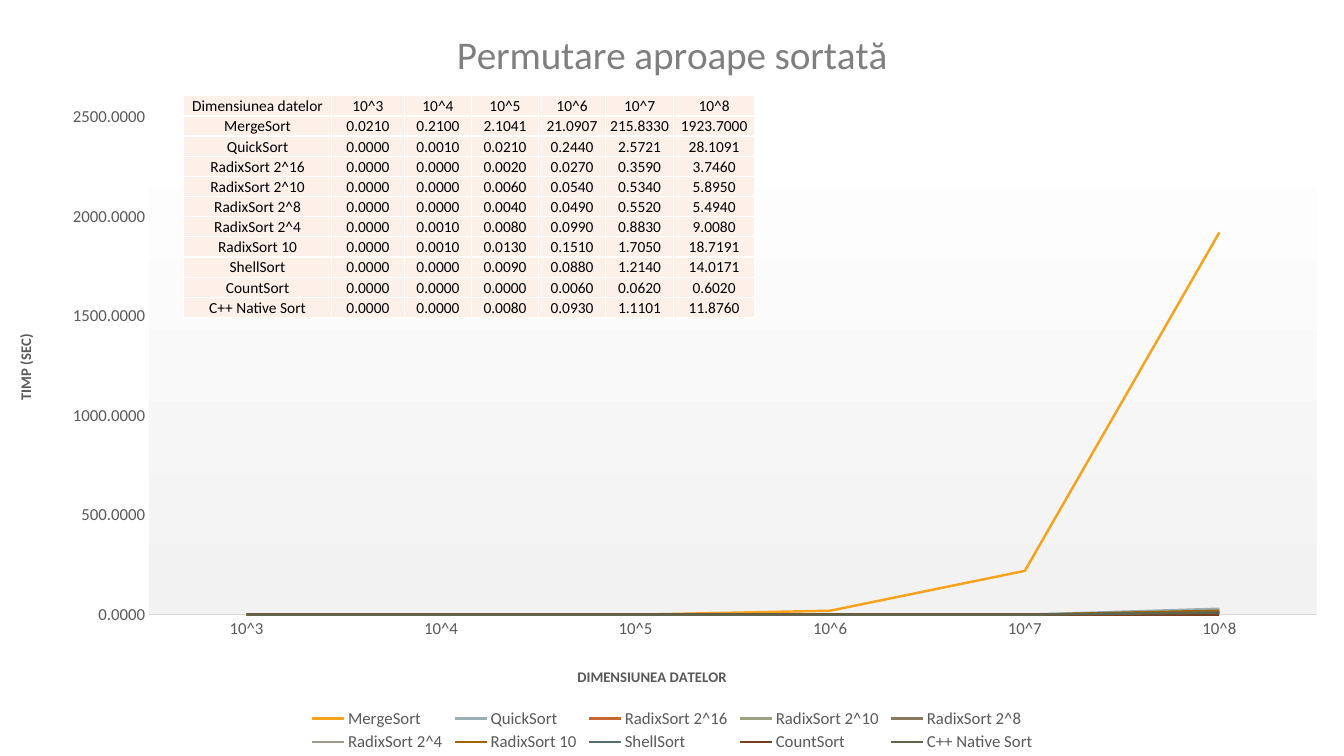
from lxml import etree
from pptx import Presentation
from pptx.chart.data import CategoryChartData
from pptx.dml.color import RGBColor
from pptx.enum.chart import XL_CHART_TYPE, XL_LEGEND_POSITION, XL_TICK_MARK
from pptx.enum.text import MSO_ANCHOR, PP_ALIGN
from pptx.oxml import parse_xml
from pptx.oxml.ns import nsdecls, qn
from pptx.util import Inches, Pt

THEME = {
    "font": "Calibri",
    "background": "F2F2F2", "white": "FFFFFF", "cell": "FDF0E8",
    "black": "000000", "text": "595959", "title": "7F7F7F", "axis": "D9D9D9",
    "title_size": 28, "axis_title_size": 10.5, "label_size": 12,
    "table_size": 11, "chart_size": 10, "series_width": 1.75,
}
WIDTH, HEIGHT = 13.33, 7.5
SIZES = ["10^3", "10^4", "10^5", "10^6", "10^7", "10^8"]
TIMES = [
    ("MergeSort", "F6A21D", [0.021, 0.21, 2.1041, 21.0907, 215.833, 1923.7]),
    ("QuickSort", "9BAFB5", [0, 0.001, 0.021, 0.244, 2.5721, 28.1091]),
    ("RadixSort 2^16", "C96731", [0, 0, 0.002, 0.027, 0.359, 3.746]),
    ("RadixSort 2^10", "9CA383", [0, 0, 0.006, 0.054, 0.534, 5.895]),
    ("RadixSort 2^8", "87795D", [0, 0, 0.004, 0.049, 0.552, 5.494]),
    ("RadixSort 2^4", "A0988C", [0, 0.001, 0.008, 0.099, 0.883, 9.008]),
    ("RadixSort 10", "9F6406", [0, 0.001, 0.013, 0.151, 1.705, 18.7191]),
    ("ShellSort", "566D74", [0, 0, 0.009, 0.088, 1.214, 14.0171]),
    ("CountSort", "793E1D", [0, 0, 0, 0.006, 0.062, 0.602]),
    ("C++ Native Sort", "60654B", [0, 0, 0.008, 0.093, 1.1101, 11.876]),
]


def set_font(font, size, color, bold=False):
    """Apply the theme font with a size, a theme colour and a weight."""
    values = {"name": THEME["font"], "size": Pt(size), "bold": bold}
    for name, value in values.items():
        setattr(font, name, value)
    font.color.rgb = RGBColor.from_string(THEME[color])


def place(element, **inches):
    """Place a chart element at x, y with size w, h, all in inches."""
    node = element.find(qn("c:layout"))
    if node is None:
        node = etree.Element(qn("c:layout"))
        element.insert(0, node)
    manual = etree.SubElement(node, qn("c:manualLayout"))
    if element.tag == qn("c:plotArea"):
        etree.SubElement(manual, qn("c:layoutTarget")).set("val", "inner")
    for axis in "xy":
        etree.SubElement(manual, qn(f"c:{axis}Mode")).set("val", "edge")
    for name, value in inches.items():
        share = value / (WIDTH if name in "xw" else HEIGHT)
        etree.SubElement(manual, qn(f"c:{name}")).set("val", f"{share:.5f}")


prs = Presentation()
prs.slide_width, prs.slide_height = Inches(WIDTH), Inches(HEIGHT)
slide = prs.slides.add_slide(prs.slide_layouts[6])
slide.background.fill.solid()
slide.background.fill.fore_color.rgb = RGBColor.from_string(THEME["background"])

# Line chart, times rounded to tens of seconds
data = CategoryChartData(number_format="0.0000")
data.categories = SIZES
for name, _, values in TIMES:
    data.add_series(name, [round(value, -1) for value in values])
chart = slide.shapes.add_chart(
    XL_CHART_TYPE.LINE, 0, 0, prs.slide_width, prs.slide_height, data).chart
set_font(chart.font, THEME["chart_size"], "black")
chart.plots[0].vary_by_categories = False
for series, (_, color, _) in zip(chart.plots[0].series, TIMES):
    series.smooth = False
    series.format.line.width = Pt(THEME["series_width"])
    series.format.line.color.rgb = RGBColor.from_string(color)

chart.has_title = True
cat_axis, val_axis = chart.category_axis, chart.value_axis
titles = [
    (chart.chart_title, "Permutare aproape sortată", "title_size", "title", False),
    (cat_axis.axis_title, "DIMENSIUNEA DATELOR", "axis_title_size", "text", True),
    (val_axis.axis_title, "TIMP (SEC)", "axis_title_size", "text", True),
]
for title, text, size, color, bold in titles:
    p = title.text_frame.paragraphs[0]
    r = p.add_run()
    r.text = text
    set_font(r.font, THEME[size], color, bold)
chart.chart_title.include_in_layout = False

for axis in (cat_axis, val_axis):
    axis.has_major_gridlines = False
    axis.major_tick_mark = axis.minor_tick_mark = XL_TICK_MARK.NONE
    set_font(axis.tick_labels.font, THEME["label_size"], "text")
cat_axis.format.line.width = Pt(0.75)
cat_axis.format.line.color.rgb = RGBColor.from_string(THEME["axis"])
val_axis.format.line.fill.background()
val_axis.minimum_scale, val_axis.maximum_scale, val_axis.major_unit = 0, 2500, 500
val_axis.tick_labels.number_format = "0.0000"
val_axis.tick_labels.number_format_is_linked = False

chart.has_legend = True
chart.legend.position = XL_LEGEND_POSITION.BOTTOM
chart.legend.include_in_layout = False
set_font(chart.legend.font, THEME["label_size"], "text")

plot_area = chart.element.find(".//" + qn("c:plotArea"))
place(plot_area, x=1.48, y=1.16, w=11.58, h=4.94)
place(chart.element.find(".//" + qn("c:legend")), x=3.03, y=6.99, w=7.28, h=0.51)
place(cat_axis.axis_title.element, x=5.7, y=6.59)
place(val_axis.axis_title.element, x=0.13, y=3.29)
plot_area.append(parse_xml(
    f'<c:spPr {nsdecls("c", "a")}><a:gradFill><a:gsLst>'
    f'<a:gs pos="0"><a:srgbClr val="{THEME["white"]}"/></a:gs>'
    f'<a:gs pos="100000"><a:srgbClr val="{THEME["background"]}"/></a:gs>'
    '</a:gsLst><a:lin ang="5400000" scaled="0"/></a:gradFill></c:spPr>'))
chart.element.find(qn("c:chart")).addnext(parse_xml(
    f'<c:spPr {nsdecls("c", "a")}><a:solidFill><a:srgbClr val="{THEME["white"]}"/>'
    '</a:solidFill><a:ln><a:noFill/></a:ln></c:spPr>'))

# Table of measured times
rows = [["Dimensiunea datelor", *SIZES]]
rows += [[name, *(f"{value:.4f}" for value in values)] for name, _, values in TIMES]
widths = [1.47, 0.72, 0.67, 0.66, 0.67, 0.67, 0.81]
row_height = 0.2
table = slide.shapes.add_table(
    len(rows), len(widths), Inches(1.82), Inches(0.95),
    Inches(sum(widths)), Inches(row_height * len(rows))).table
table.first_row = table.horz_banding = False
for column, width in zip(table.columns, widths):
    column.width = Inches(width)
cell_format = {
    "vertical_anchor": MSO_ANCHOR.BOTTOM, "margin_left": Inches(0.01),
    "margin_right": Inches(0.01), "margin_top": Inches(0.01), "margin_bottom": 0,
}
for i, row in enumerate(rows):
    table.rows[i].height = Inches(row_height)
    for j, text in enumerate(row):
        cell = table.cell(i, j)
        for name, value in cell_format.items():
            setattr(cell, name, value)
        p = cell.text_frame.paragraphs[0]
        p.alignment = PP_ALIGN.CENTER
        r = p.add_run()
        r.text = text
        set_font(r.font, THEME["table_size"], "black")
        cell.fill.solid()
        cell.fill.fore_color.rgb = RGBColor.from_string(THEME["cell"])
        cell_fill = cell._tc.find(qn("a:tcPr")).find(qn("a:solidFill"))
        for side in "LRTB":
            cell_fill.addprevious(parse_xml(
                f'<a:ln{side} {nsdecls("a")} w="12700"><a:solidFill>'
                f'<a:srgbClr val="{THEME["white"]}"/></a:solidFill></a:ln{side}>'))

prs.save("out.pptx")
